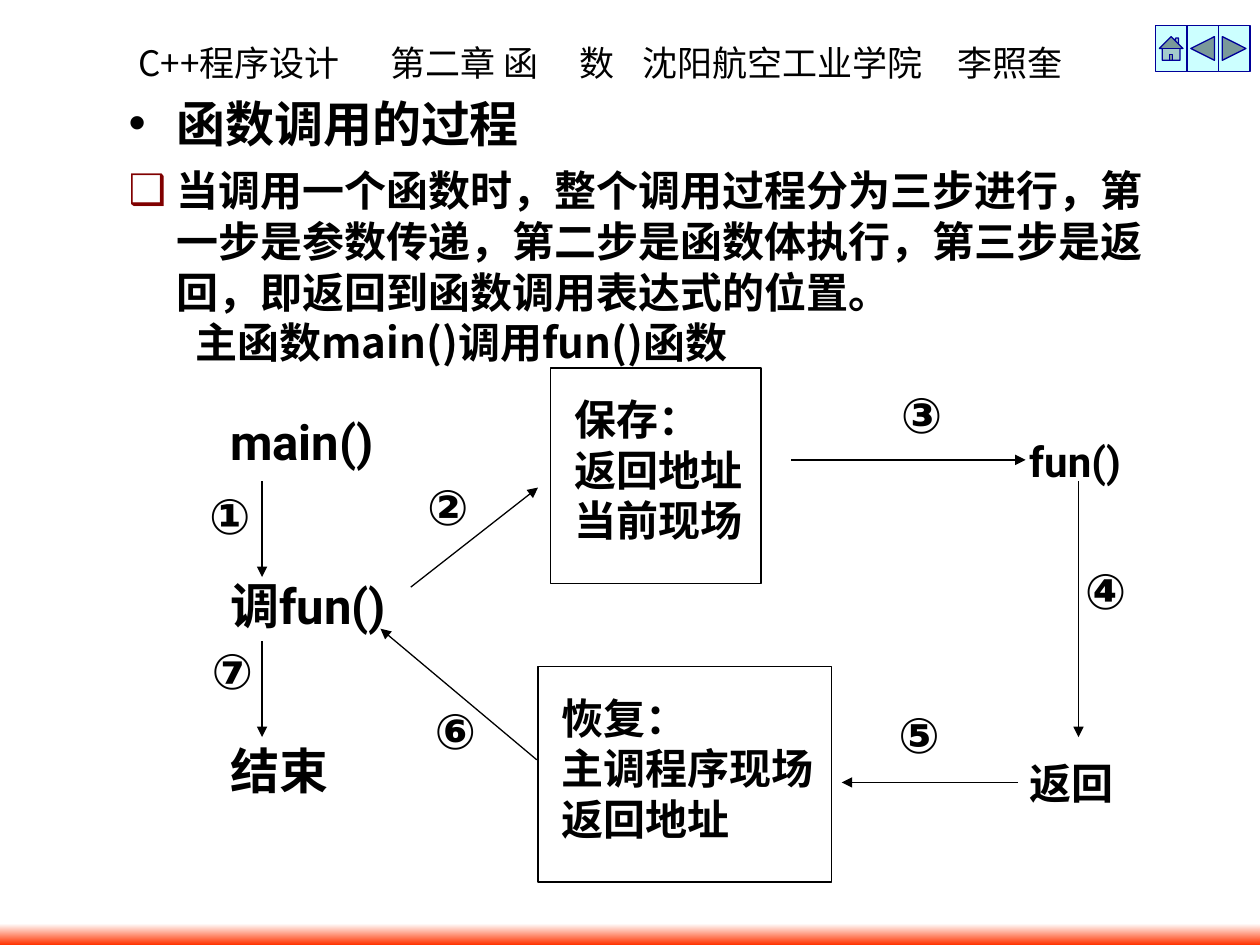
"""Build a slide that traces the steps of a function call."""
from lxml import etree
from pptx import Presentation, util as u
from pptx.dml.color import RGBColor
from pptx.enum import shapes, text
from pptx.oxml.ns import qn

INK = {"text": "000000", "mark": "800000", "navy": "000099",
       "pale": "CCFFFF", "white": "FFFFFF", "red": "FF3300"}
SANS, LATIN = "Noto Sans CJK SC", "Roboto"
LEFT, JUST = text.PP_ALIGN.LEFT, text.PP_ALIGN.JUSTIFY
KIND = shapes.MSO_SHAPE


def tint(name):
    return RGBColor.from_string(INK[name])


def node(root, tag, **attrs):
    return etree.SubElement(root, qn(f"a:{tag}"), **attrs)


class Deck:
    def __init__(self):
        self.prs = Presentation()
        self.prs.slide_width, self.prs.slide_height = u.Inches(10), u.Inches(7.5)
        self.slide = self.prs.slides.add_slide(self.prs.slide_layouts[1])
        title = self.slide.shapes.title
        title.element.getparent().remove(title.element)

    def para(self, frame, words, size, face=LATIN, asian=SANS, bold=True, align=JUST,
             line=None, gap=0, inset=0, hang=0, mark=None, tabs=()):
        first = not frame.text
        para = frame.paragraphs[0] if first else frame.add_paragraph()
        para.text = words
        props = para._p.get_or_add_pPr()
        props.set("marL", str(u.Inches(inset)))
        props.set("indent", str(u.Inches(-hang)))
        if mark:
            sign, color = mark
            node(node(props, "buClr"), "srgbClr", val=INK[color])
            node(props, "buChar", char=sign)
        else:
            node(props, "buNone")
        if tabs:
            stops = node(props, "tabLst")
            for spot in tabs:
                node(stops, "tab", pos=str(u.Inches(spot)), algn="l")
        para.alignment = align
        para.space_before = u.Pt(0 if first else gap)
        if line:
            para.line_spacing = u.Pt(line)
        font = para.font
        font.size, font.bold, font.name = u.Pt(size), bold, face
        font.color.rgb = tint("text")
        node(props.find(qn("a:defRPr")), "ea", typeface=asian)

    def frame(self, shape, pads=(0.1, 0.05, 0.1, 0.05)):
        frame = shape.text_frame
        frame.word_wrap = True
        frame.auto_size = text.MSO_AUTO_SIZE.NONE
        frame.vertical_anchor = text.MSO_ANCHOR.TOP
        (frame.margin_left, frame.margin_top,
         frame.margin_right, frame.margin_bottom) = map(u.Inches, pads)
        return frame

    def label(self, box, lines, size, pads=(0.1, 0.05, 0.1, 0.05), **style):
        frame = self.frame(self.slide.shapes.add_textbox(*map(u.Inches, box)), pads)
        for words in lines:
            self.para(frame, words, size, **style)

    def body(self, box):
        shape = self.slide.placeholders[1]
        shape.left, shape.top, shape.width, shape.height = map(u.Inches, box)
        return self.frame(shape)

    def shape(self, kind, box, fill=None, line=None):
        shape = self.slide.shapes.add_shape(kind, *map(u.Inches, box))
        shape.shadow.inherit = False
        if fill:
            shape.fill.solid()
            shape.fill.fore_color.rgb = tint(fill)
        else:
            shape.fill.background()
        if line:
            shape.line.color.rgb = tint(line)
            shape.line.width = u.Pt(0.75)
        else:
            shape.line.fill.background()
        return shape

    def fade(self, box, top, base):
        fill = self.shape(KIND.RECTANGLE, box).fill
        fill.gradient()
        fill.gradient_angle = 270
        for stop, name in zip(fill.gradient_stops, (top, base)):
            stop.color.rgb = tint(name)

    def panel(self, box, lines):
        shape = self.shape(KIND.RECTANGLE, box, line="text")
        frame = self.frame(shape, (0, 0.2, 0, 0))
        for words in lines:
            self.para(frame, words, 24, line=29, inset=0.19)

    def arrow(self, *ends):
        link = self.slide.shapes.add_connector(
            shapes.MSO_CONNECTOR.STRAIGHT, *map(u.Inches, ends))
        link.line.color.rgb = tint("text")
        link.line.width = u.Pt(0.75)
        props = link._element.spPr
        node(props.find(qn("a:ln")), "tailEnd", type="triangle")
        node(props, "effectLst")


def main():
    deck = Deck()
    deck.label((1, 0.25, 8.25, 0.44),
               ["C++程序设计\t第二章 函\t数\t沈阳航空工业学院\t李照奎"], 20,
               face=SANS, bold=False, align=LEFT, line=26, tabs=(1.8, 3.08, 3.75, 6.09))
    deck.fade((0, 7.33, 10, 0.17), "white", "red")
    keys = (KIND.ACTION_BUTTON_HOME, KIND.ACTION_BUTTON_BACK_OR_PREVIOUS,
            KIND.ACTION_BUTTON_FORWARD_OR_NEXT)
    for i, kind in enumerate(keys):
        deck.shape(kind, (9.17 + 0.25 * i, 0.2, 0.25, 0.37), "pale", "navy")

    body = deck.body((0.92, 0.67, 8.5, 5.42))
    deck.para(body, "函数调用的过程", 28, SANS, line=35,
              inset=0.38, hang=0.38, mark=("•", "text"))
    deck.para(body, "当调用一个函数时，整个调用过程分为三步进行，第一步是参数传递，"
              "第二步是函数体执行，第三步是返回，即返回到函数调用表达式的位置。", 24, SANS,
              align=LEFT, line=29, gap=7, inset=0.38, hang=0.38, mark=("❑", "mark"))
    deck.para(body, "主函数main()调用fun()函数", 24, SANS, align=LEFT, line=29, inset=0.53)

    deck.label((1.42, 3.03, 1.85, 3.58), ["main()", "调fun()", "结束"], 28,
               line=47, gap=47, inset=0.31)
    deck.label((8.07, 3.17, 1.2, 3.58), ["fun()", "返回"], 24, line=46, gap=138)
    deck.panel((4.37, 2.92, 1.67, 1.71), ["保存：", "返回地址", "当前现场"])
    deck.panel((4.27, 5.29, 2.33, 1.71), ["恢复：", "主调程序现场", "返回地址"])

    steps = [
        ("①", (1.66, 3.85), (2.08, 3.82, 2.08, 4.58)),
        ("②", (3.39, 3.78), (3.26, 4.66, 4.27, 3.87)),
        ("③", (7.15, 3.05), (6.28, 3.65, 8.14, 3.65)),
        ("④", (8.61, 4.45), (8.56, 3.82, 8.56, 5.85)),
        ("⑤", (7.13, 5.59), (8.08, 6.21, 6.68, 6.21)),
        ("⑥", (3.45, 5.56), (4.26, 6.03, 3.02, 4.99)),
        ("⑦", (1.68, 5.08), (2.08, 5.09, 2.08, 5.85)),
    ]
    for sign, spot, ends in steps:
        deck.arrow(*ends)
        deck.label((*spot, 0.4, 0.51), [sign], 28, pads=(0, 0, 0, 0), asian=LATIN)
    deck.prs.save("out.pptx")


if __name__ == "__main__":
    main()
